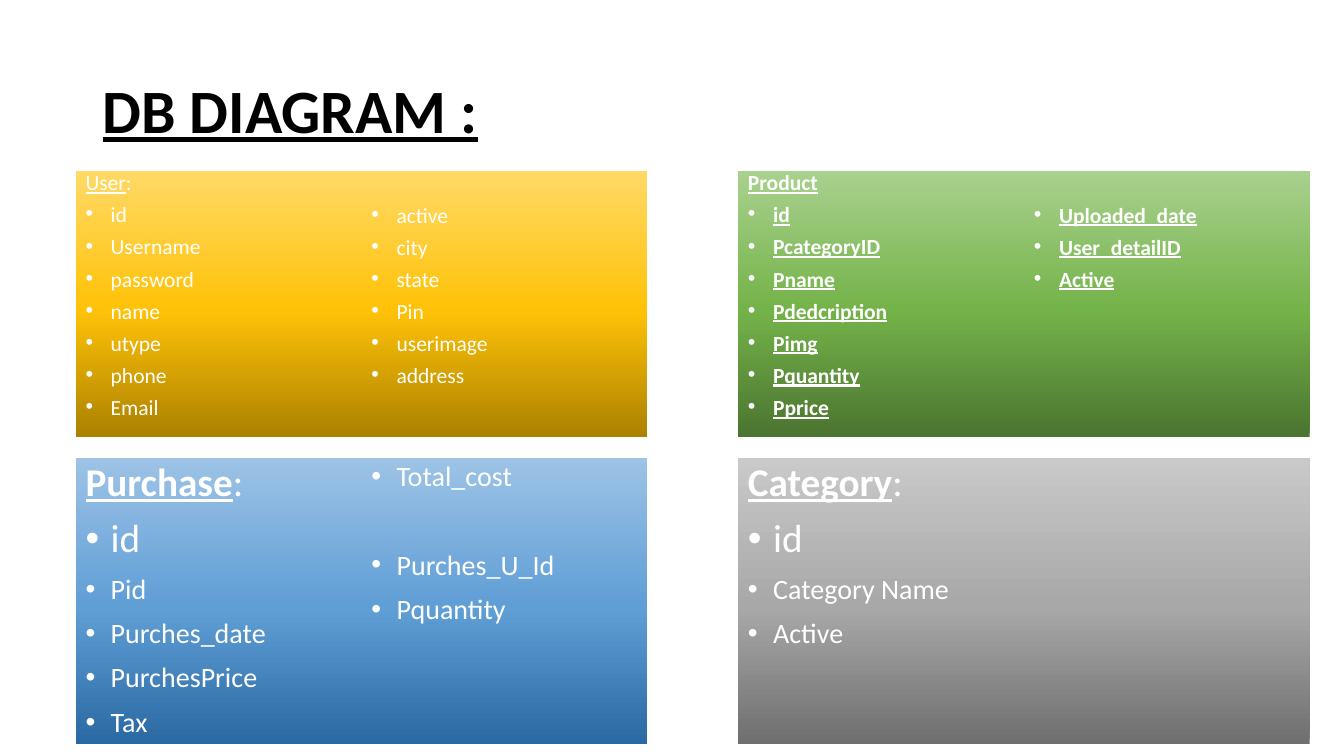
import copy
import pptx
import pptx.dml.color
import pptx.enum.shapes
import pptx.enum.text
import pptx.util
from pptx.oxml.ns import qn
import lxml.etree

Inches = pptx.util.Inches
Pt = pptx.util.Pt
HUES = {
    "black": "000000",
    "white": "FFFFFF",
    "gold": ["AB8100", "FFC208", "FFD966"],
    "green": ["4B7430", "74B349", "A9D18E"],
    "blue": ["2A69A2", "609ED6", "9DC3E6"],
    "gray": ["6F6F6F", "A8A8A8", "C9C9C9"],
}
PAD = 0.1


def tint(code):
    return pptx.dml.color.RGBColor.from_string(code)


def write(frame, text, tail="", size=20, bold=False, line=False,
          dot=False, lead=0.9, gap=10, hue="white"):
    para = frame.paragraphs[0]
    if para.runs:
        para = frame.add_paragraph()
    para.alignment = pptx.enum.text.PP_ALIGN.LEFT
    para.line_spacing = lead
    para.space_before = Pt(gap)
    for part, thick, under in [(text, bold, line), (tail, False, False)]:
        if part:
            run = para.add_run()
            run.text = part
            run.font.name = "Calibri"
            run.font.size = Pt(size)
            run.font.bold = thick
            run.font.underline = under
            run.font.color.rgb = tint(HUES[hue])
    if dot:
        props = para._p.get_or_add_pPr()
        props.set("marL", str(Inches(0.25)))
        props.set("indent", str(Inches(-0.25)))
        font = lxml.etree.SubElement(props, qn("a:buFont"))
        font.set("typeface", "Arial")
        mark = lxml.etree.SubElement(props, qn("a:buChar"))
        mark.set("char", "•")


def setup(frame, anchor="TOP"):
    frame.word_wrap = True
    frame.vertical_anchor = getattr(pptx.enum.text.MSO_ANCHOR, anchor)
    return frame


def text_box(slide, x, y, w, h, anchor="TOP"):
    box = slide.shapes.add_textbox(*map(Inches, (x, y, w, h)))
    return setup(box.text_frame, anchor)


def shade(fill, hues):
    fill.gradient()
    fill.gradient_angle = 90
    stops = fill._fill._gradFill.find(qn("a:gsLst"))
    stops.insert(1, copy.deepcopy(stops[0]))
    for stop, spot, code in zip(fill.gradient_stops, (0, 0.48, 1), hues):
        stop.position = spot
        stop.color.rgb = tint(code)


def title(slide, x, y, w, h):
    frame = text_box(slide, x, y, w, h, "MIDDLE")
    write(frame, "DB DIAGRAM :", size=44, bold=True, line=True, gap=0, hue="black")


def card(slide, x, y, w, h, hue, head, left, right=(), drop=0):
    kind = pptx.enum.shapes.MSO_SHAPE.RECTANGLE
    shape = slide.shapes.add_shape(kind, *map(Inches, (x, y, w, h)))
    shape.shadow.inherit = False
    shape.line.fill.background()
    shade(shape.fill, HUES[hue])
    frame = setup(shape.text_frame)
    write(frame, **head)
    for item in left:
        write(frame, dot=True, **item)
    if right:
        half = w / 2 - PAD
        frame = text_box(slide, x + half + PAD, y + drop, half + PAD, h - drop)
        for item in right:
            write(frame, dot=True, **item)


def items(names, **style):
    return [dict(text=name, **style) for name in names.split(",")]


def tables(slide, x, y, w):
    far = x + 6.57
    low = y + 2.84
    row = 0.32
    small = dict(size=15.4, lead=0.7)
    strong = dict(small, bold=True, line=True)
    big = dict(size=28, bold=True, line=True, tail=":")
    first = items("id", size=28)
    card(slide, x, y, w, 2.64, "gold",
         dict(text="User", tail=":", line=True, **small),
         items("id,Username,password,name,utype,phone,Email", **small),
         items("active,city,state,Pin,userimage,address", **small), row)
    card(slide, far, y, w, 2.64, "green",
         dict(text="Product", **strong),
         items("id,PcategoryID,Pname,Pdedcription,Pimg,Pquantity,Pprice", **strong),
         items("Uploaded_date,User_detailID,Active", **strong), row)
    card(slide, x, low, w, 2.84, "blue",
         dict(text="Purchase", **big),
         first + items("Pid,Purches_date,PurchesPrice,Tax"),
         items("Total_cost") + items("Purches_U_Id", gap=41.5) + items("Pquantity"))
    card(slide, far, low, w, 2.84, "gray",
         dict(text="Category", **big),
         first + items("Category Name,Active"))


def main():
    deck = pptx.Presentation()
    deck.slide_width = Inches(13.33)
    deck.slide_height = Inches(7.5)
    slide = deck.slides.add_slide(deck.slide_layouts[6])
    title(slide, 0.92, 0.4, 11.5, 1.45)
    tables(slide, 0.75, 1.7, 5.67)
    deck.save("out.pptx")


if __name__ == "__main__":
    main()
